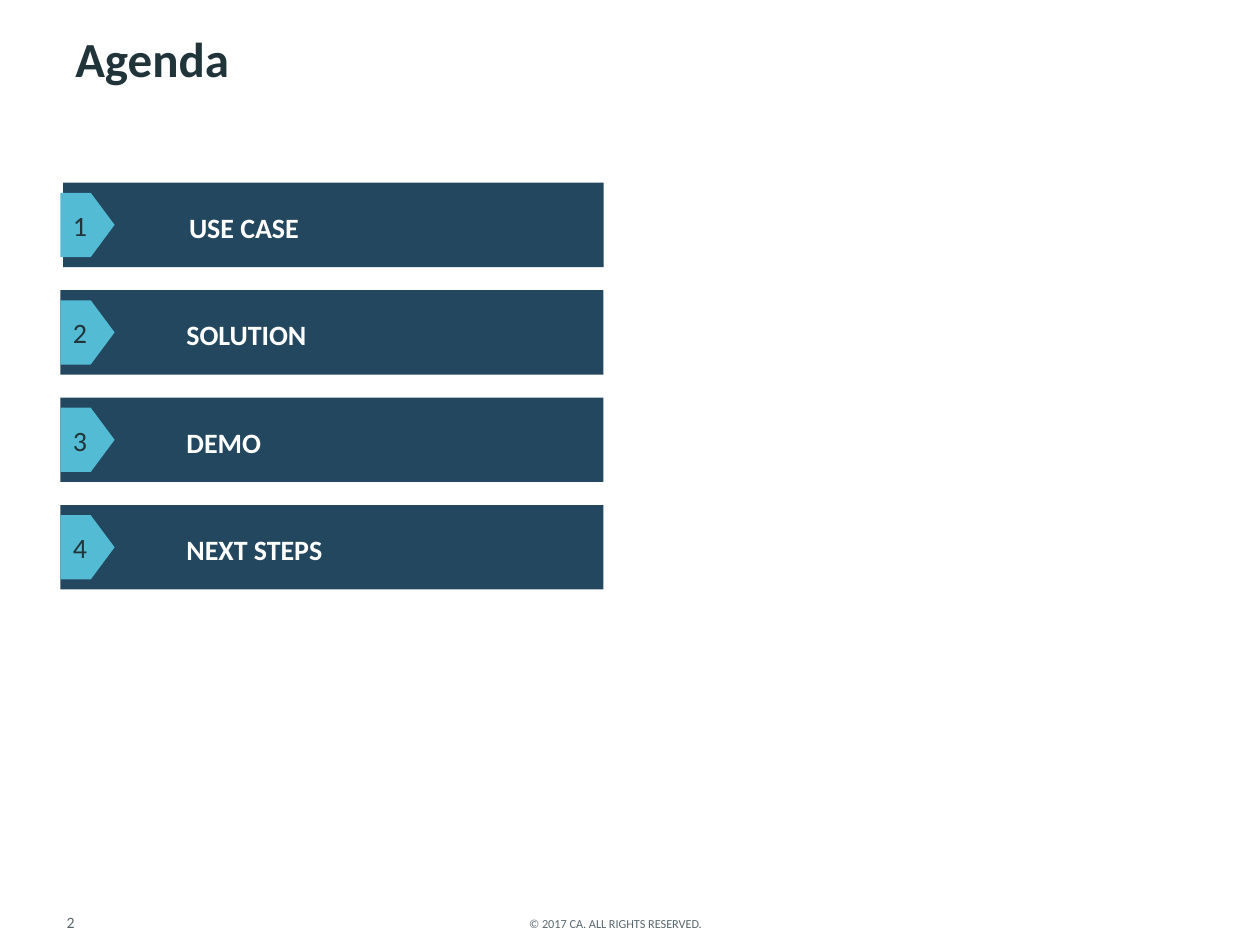
from pptx import Presentation
from pptx.dml.color import RGBColor
from pptx.enum.shapes import MSO_SHAPE as Shape
from pptx.enum.text import MSO_ANCHOR as Anchor, PP_ALIGN as Align
from pptx.util import Inches, Pt

NAVY, AQUA, DARK, GREY, WHITE = "22475E", "53BBD4", "20343A", "58676D", "FFFFFF"
AGENDA = ["USE CASE", "SOLUTION", "DEMO", "NEXT STEPS"]
LEFT, RIGHT, TOP, PITCH = 0.48, 4.79, 1.45, 0.853


def color(value):
    """Turn a hex string into a colour."""
    return RGBColor.from_string(value)


def set_text(shape, text, size, hex_color, bold=False, anchor=Anchor.MIDDLE,
             insets=(0.1, 0.05, 0.1, 0.05), **paragraph_format):
    """Write one formatted paragraph into a shape."""
    frame = shape.text_frame
    left, top, right, bottom = map(Inches, insets)
    frame_format = {"word_wrap": True, "vertical_anchor": anchor,
                    "margin_left": left, "margin_top": top,
                    "margin_right": right, "margin_bottom": bottom}
    for name, value in frame_format.items():
        setattr(frame, name, value)
    paragraph = frame.paragraphs[0]
    for name, value in {"alignment": Align.LEFT, **paragraph_format}.items():
        setattr(paragraph, name, value)
    run = paragraph.add_run()
    run.text = text
    for name, value in {"name": "Calibri", "size": Pt(size), "bold": bold}.items():
        setattr(run.font, name, value)
    run.font.color.rgb = color(hex_color)


def add_text(slide, box, text, size, hex_color, **text_format):
    """Add a text box."""
    shape = slide.shapes.add_textbox(*map(Inches, box))
    set_text(shape, text, size, hex_color, **text_format)


def add_block(slide, kind, box, fill):
    """Add a filled shape without outline or shadow."""
    shape = slide.shapes.add_shape(kind, *map(Inches, box))
    shape.shadow.inherit = False
    shape.fill.solid()
    shape.fill.fore_color.rgb = color(fill)
    shape.line.fill.background()
    return shape


def add_bar(slide, index, text):
    """Add the wide bar of an agenda item; the first starts slightly further right."""
    left = LEFT if index else 0.5
    box = (left, TOP + index * PITCH, RIGHT - left, 0.67)
    bar = add_block(slide, Shape.RECTANGLE, box, NAVY)
    set_text(bar, text, 16, WHITE, bold=True, insets=(1, 0.05, 0.1, 0.15),
             line_spacing=Pt(28.8), space_after=Pt(2))


def add_number(slide, index):
    """Add the numbered pointer of an agenda item."""
    box = (LEFT, TOP + 0.08 + index * PITCH, 0.43, 0.51)
    pointer = add_block(slide, Shape.PENTAGON, box, AQUA)
    pointer.adjustments[0] = 0.44
    set_text(pointer, str(index + 1), 16, DARK, insets=(0.1, 0, 0, 0))


def main():
    """Build the agenda slide."""
    presentation = Presentation()
    presentation.slide_width = Inches(10)
    presentation.slide_height = Inches(7.5)
    slide = presentation.slides.add_slide(presentation.slide_layouts[6])
    add_text(slide, (0.43, 7.07, 0.58, 0.37), "2", 9, GREY, anchor=Anchor.BOTTOM)
    add_text(slide, (1.01, 7.07, 7.75, 0.37), "© 2017 CA. ALL RIGHTS RESERVED.", 7, GREY,
             anchor=Anchor.BOTTOM, alignment=Align.CENTER)
    add_text(slide, (0.5, 0.23, 9, 0.53), "Agenda", 28, DARK, bold=True,
             anchor=Anchor.TOP, line_spacing=0.9)
    for index, text in enumerate(AGENDA):
        add_bar(slide, index, text)
        add_number(slide, index)
    presentation.save("out.pptx")


if __name__ == "__main__":
    main()
